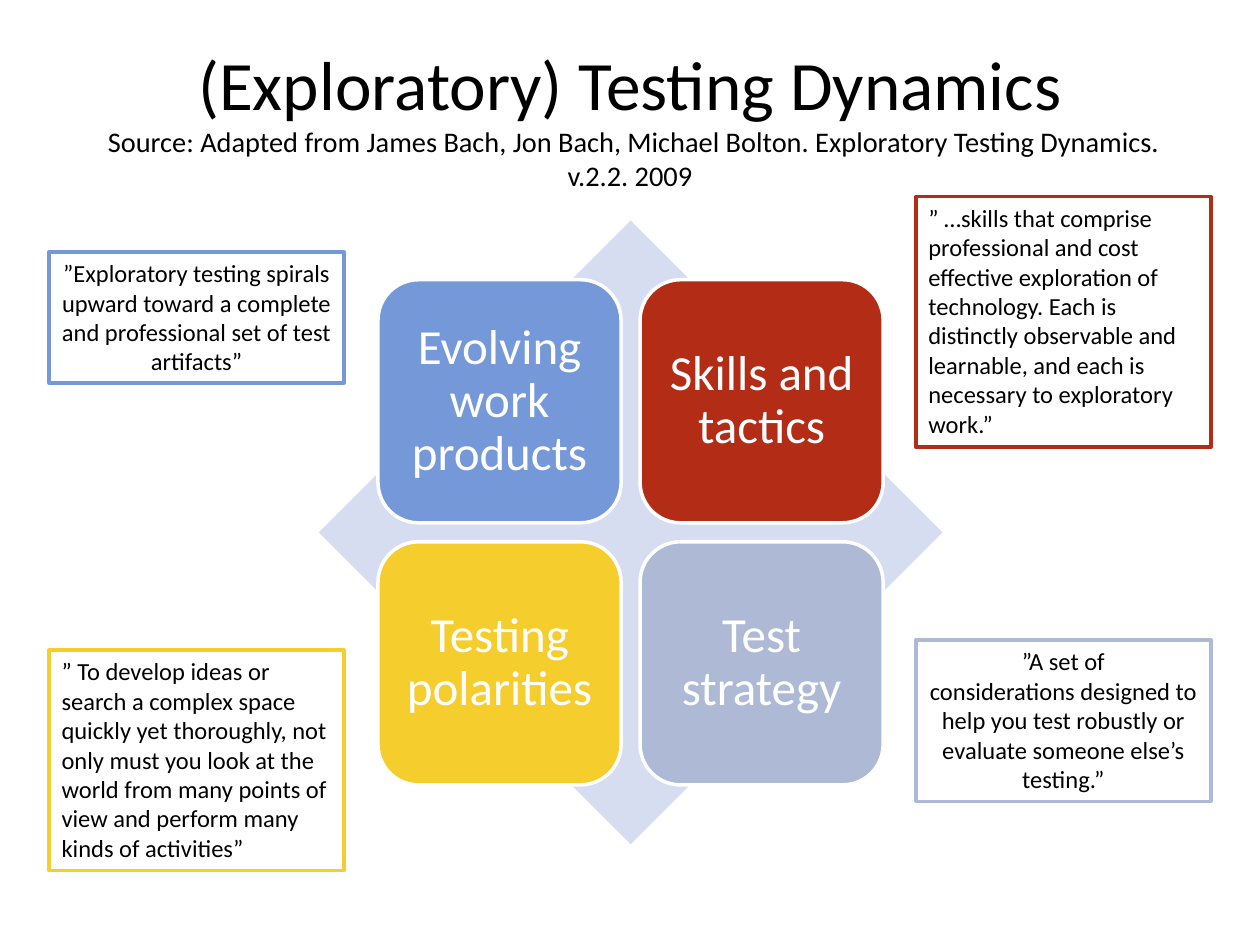
from pptx import Presentation
from pptx.dml.color import RGBColor
from pptx.enum.shapes import MSO_SHAPE as Shape
from pptx.enum.text import MSO_ANCHOR as Anchor, MSO_AUTO_SIZE as AutoSize, PP_ALIGN as Align
from pptx.util import Inches, Pt

BLUE, RED, YELLOW, GREY = "7598D9", "B32C16", "F5CD2D", "AEBAD5"
WHITE, BLACK, PALE = "FFFFFF", "000000", "D6DDF1"


def color(value):
    return RGBColor.from_string(value)


class SlideBuilder:
    font_name = "Calibri"
    line_width = 2

    def __init__(self, slide):
        self.slide = slide

    def shape(self, kind, box, fill, line=None):
        shape = self.slide.shapes.add_shape(kind, *map(Inches, box))
        shape.shadow.inherit = False
        shape.fill.solid()
        shape.fill.fore_color.rgb = color(fill)
        if line:
            shape.line.color.rgb = color(line)
            shape.line.width = Pt(self.line_width)
        else:
            shape.line.fill.background()
        return shape

    def style(self, paragraph, size, text_color, align):
        paragraph.alignment = align
        paragraph.font.name = self.font_name
        paragraph.font.size = Pt(size)
        paragraph.font.color.rgb = color(text_color)

    def title(self, box, heading, source):
        frame = self.slide.shapes.add_textbox(*map(Inches, box)).text_frame
        frame.word_wrap = True
        frame.vertical_anchor = Anchor.MIDDLE
        paragraph = frame.paragraphs[0]
        self.style(paragraph, 39.6, BLACK, Align.CENTER)
        paragraph.add_run().text = heading
        paragraph.add_line_break()
        run = paragraph.add_run()
        run.text = source
        run.font.size = Pt(16.2)

    def tile(self, box, text, fill):
        frame = self.shape(Shape.ROUNDED_RECTANGLE, box, fill, WHITE).text_frame
        frame.word_wrap = True
        frame.vertical_anchor = Anchor.MIDDLE
        frame.margin_left = frame.margin_right = Inches(0.12)
        frame.margin_top = frame.margin_bottom = Inches(0.12)
        frame.text = text
        paragraph = frame.paragraphs[0]
        paragraph.line_spacing = 0.9
        self.style(paragraph, 28, WHITE, Align.CENTER)

    def quote(self, box, text, line, align):
        frame = self.shape(Shape.RECTANGLE, box, WHITE, line).text_frame
        frame.word_wrap = True
        frame.auto_size = AutoSize.SHAPE_TO_FIT_TEXT
        frame.vertical_anchor = Anchor.TOP
        frame.text = text
        for paragraph in frame.paragraphs:
            self.style(paragraph, 14, BLACK, align)


def main():
    presentation = Presentation()
    presentation.slide_width = Inches(10)
    presentation.slide_height = Inches(7.5)
    builder = SlideBuilder(presentation.slides.add_slide(presentation.slide_layouts[6]))

    builder.title(
        (0.5, 0.3, 9, 1.25),
        "(Exploratory) Testing Dynamics",
        " Source: Adapted from James Bach, Jon Bach, Michael Bolton. "
        "Exploratory Testing Dynamics. v.2.2. 2009",
    )
    builder.shape(Shape.DIAMOND, (2.53, 1.75, 4.95, 4.95), PALE)

    tile_size, tile_step = 1.93, 2.08
    tiles = [
        ("Evolving work products", BLUE),
        ("Skills and tactics", RED),
        ("Testing polarities", YELLOW),
        ("Test strategy", GREY),
    ]
    for index, (text, fill) in enumerate(tiles):
        row, column = divmod(index, 2)
        left, top = 3 + column * tile_step, 2.22 + row * tile_step
        builder.tile((left, top, tile_size, tile_size), text, fill)

    left_column, right_column, quote_width = 0.39, 7.27, 2.34
    quotes = [
        (right_column, 5.08, 1.28, GREY, Align.CENTER,
         "”A set of\nconsiderations designed to help you test robustly or "
         "evaluate someone else’s testing.”"),
        (left_column, 5.16, 1.75, YELLOW, Align.LEFT,
         "” To develop ideas or search a complex space quickly yet thoroughly, "
         "not only must you look at the\n"
         "world from many points of view and perform many kinds of activities”"),
        (left_column, 2, 1.04, BLUE, Align.CENTER,
         "”Exploratory testing spirals upward toward a complete and "
         "professional set of test artifacts”"),
        (right_column, 1.56, 1.99, RED, Align.LEFT,
         "” …skills that comprise professional and cost effective exploration of "
         "technology. Each is distinctly observable and learnable, and each is "
         "necessary to exploratory work.”"),
    ]
    for left, top, height, line, align, text in quotes:
        builder.quote((left, top, quote_width, height), text, line, align)

    presentation.save("out.pptx")


if __name__ == "__main__":
    main()
